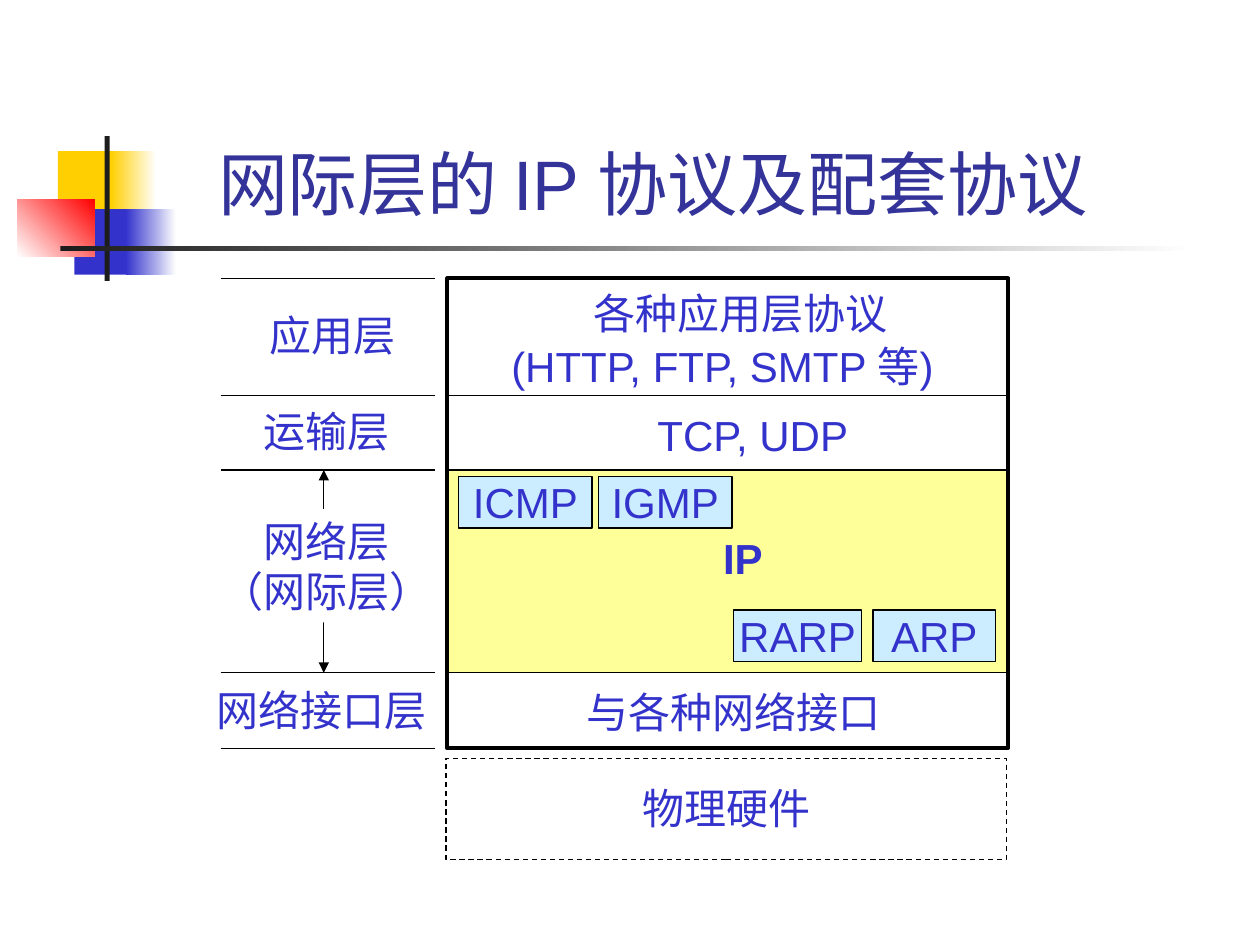
from dataclasses import dataclass

from lxml import etree
from pptx import Presentation
from pptx.dml.color import RGBColor
from pptx.enum.dml import MSO_LINE
from pptx.enum.shapes import MSO_CONNECTOR, MSO_SHAPE
from pptx.enum.text import MSO_ANCHOR, PP_ALIGN
from pptx.oxml.ns import qn
from pptx.util import Inches, Pt


@dataclass(frozen=True)
class Theme:
    font: str = "Arial"
    title_size: int = 40
    body_size: int = 24
    title: str = "333399"
    text: str = "3333CC"
    line: str = "000000"
    white: str = "FFFFFF"
    ip_layer: str = "FFFF99"
    protocol: str = "CCECFF"
    yellow: str = "FFCF01"
    blue: str = "3333CC"
    red: str = "FF0000"
    dark: str = "1C1C1C"


THEME = Theme()
# Boundaries between the protocol layers, top to bottom
LAYER_EDGES = (2.21, 3.14, 3.73, 5.34, 5.94)


def color(value):
    return RGBColor.from_string(value)


def add_rect(slide, box, fill=None, line_width=None):
    """Add a rectangle; a pair of fill colours makes a gradient."""
    shape = slide.shapes.add_shape(MSO_SHAPE.RECTANGLE, *map(Inches, box))
    shape.shadow.inherit = False
    if fill is None:
        shape.fill.background()
    elif isinstance(fill, tuple):
        shape.fill.gradient()
        shape.fill.gradient_angle = 0
        for stop, value in zip(shape.fill.gradient_stops, fill):
            stop.color.rgb = color(value)
    else:
        shape.fill.solid()
        shape.fill.fore_color.rgb = color(fill)
    if line_width:
        shape.line.color.rgb = color(THEME.line)
        shape.line.width = Pt(line_width)
    else:
        shape.line.fill.background()
    return shape


def add_line(slide, x1, y1, x2, y2, arrows=False):
    line = slide.shapes.add_connector(
        MSO_CONNECTOR.STRAIGHT, *map(Inches, (x1, y1, x2, y2)))
    line.line.color.rgb = color(THEME.line)
    line.line.width = Pt(0.75)
    if arrows:
        outline = line.line._get_or_add_ln()
        for end in ("a:headEnd", "a:tailEnd"):
            etree.SubElement(outline, qn(end), type="triangle")
    etree.SubElement(line._element.spPr, qn("a:effectLst"))


def write(shape, text, align=PP_ALIGN.LEFT, anchor=MSO_ANCHOR.TOP,
          size=THEME.body_size, ink=THEME.text, bold=False, wrap=False):
    frame = shape.text_frame
    frame.text = text
    frame.word_wrap = wrap
    frame.vertical_anchor = anchor
    for paragraph in frame.paragraphs:
        paragraph.alignment = align
        font = paragraph.runs[0].font
        font.name, font.size, font.bold = THEME.font, Pt(size), bold
        font.color.rgb = color(ink)


def add_label(slide, left, top, width, text, **style):
    label = slide.shapes.add_textbox(*map(Inches, (left, top, width, 0.5)))
    write(label, text, **style)
    return label


def add_ornament(slide, left, top):
    """Coloured squares and crossing bars beside the title."""
    for x, y, width, height, fill in (
        (0.32, 0.12, 0.48, 0.52, THEME.yellow),
        (0.74, 0.12, 0.36, 0.52, (THEME.yellow, THEME.white)),
        (0.45, 0.58, 0.46, 0.52, THEME.blue),
        (0.86, 0.58, 0.40, 0.52, (THEME.blue, THEME.white)),
        (0, 0.5, 0.61, 0.46, (THEME.white, THEME.red)),
        (0.69, 0, 0.04, 1.15, THEME.dark),
        (0.34, 0.87, 9, 0.04, (THEME.dark, THEME.white)),
    ):
        shape = add_rect(slide, (left + x, top + y, width, height), fill)
        if fill == (THEME.white, THEME.red):
            shape.fill.gradient_angle = 45


def add_title(slide, left, top, width, height):
    title = slide.shapes.title
    title.left, title.top = Inches(left), Inches(top)
    title.width, title.height = Inches(width), Inches(height)
    write(title, "网际层的 IP 协议及配套协议", PP_ALIGN.CENTER,
          MSO_ANCHOR.BOTTOM, THEME.title_size, THEME.title, wrap=True)


def add_layer_names(slide, left, width):
    """Layer names between rules."""
    for y in LAYER_EDGES:
        add_line(slide, left, y, left + width, y)
    add_label(slide, left + 0.29, 2.41, 1.3, "应用层")
    add_label(slide, left + 0.24, 3.17, 1.3, "运输层")
    interface = add_label(slide, left - 0.13, 5.48, 2.04, "网络接口层")
    interface.text_frame.paragraphs[0].line_spacing = 0.75

    # The network layer name covers the middle of its double arrow
    add_line(slide, left + 0.82, LAYER_EDGES[2], left + 0.82, LAYER_EDGES[3],
             arrows=True)
    network = add_rect(slide, (left - 0.09, 4.04, 1.86, 0.9), THEME.white)
    write(network, "网络层\n（网际层）", PP_ALIGN.CENTER)


def add_protocol_stack(slide, left, width):
    """Framed stack of protocols, one band for each layer."""
    top, bottom = LAYER_EDGES[0], LAYER_EDGES[-1]
    ip_top, ip_bottom = LAYER_EDGES[2:4]
    add_rect(slide, (left, ip_top, width, ip_bottom - ip_top), THEME.ip_layer)
    add_rect(slide, (left, top, width, bottom - top), line_width=2.25)
    for y in LAYER_EDGES[1:-1]:
        add_line(slide, left, y, left + width, y)

    add_label(slide, left + 1.06, 2.23, 2.6, "各种应用层协议")
    add_label(slide, left + 0.41, 2.65, 3.8, "(HTTP, FTP, SMTP 等)")
    add_label(slide, left + 1.57, 3.2, 1.8, "TCP, UDP")
    add_label(slide, left + 2.09, 4.18, 0.7, "IP", bold=True)
    add_label(slide, left + 1.01, 5.4, 2.6, "与各种网络接口")

    # Companion protocols of IP
    for name, x, y, box_width in (
        ("ICMP", 0.09, 3.78, 1.06), ("IGMP", 1.2, 3.78, 1.06),
        ("RARP", 2.27, 4.84, 1.02), ("ARP", 3.38, 4.84, 0.97),
    ):
        box = add_rect(slide, (left + x, y, box_width, 0.41),
                       THEME.protocol, 0.75)
        write(box, name, PP_ALIGN.CENTER, MSO_ANCHOR.MIDDLE)


def add_hardware(slide, left, top, width, height):
    """Dashed, half transparent box below the stack."""
    box = add_rect(slide, (left, top, width, height), THEME.white, 0.75)
    box.line.dash_style = MSO_LINE.DASH
    fill_color = box._element.spPr.find(qn("a:solidFill"))[0]
    etree.SubElement(fill_color, qn("a:alpha"), val="49000")
    add_label(slide, left + 1.46, top + 0.14, 1.6, "物理硬件")


def main():
    presentation = Presentation()
    presentation.slide_width = Inches(10)
    presentation.slide_height = Inches(7.5)
    slide = presentation.slides.add_slide(presentation.slide_layouts[5])
    add_ornament(slide, 0.14, 1.08)
    add_title(slide, 1.26, 0.23, 7.84, 1.6)
    add_layer_names(slide, 1.75, 1.7)
    add_protocol_stack(slide, 3.55, 4.45)
    add_hardware(slide, 3.54, 6.02, 4.45, 0.8)
    presentation.save("out.pptx")


if __name__ == "__main__":
    main()
